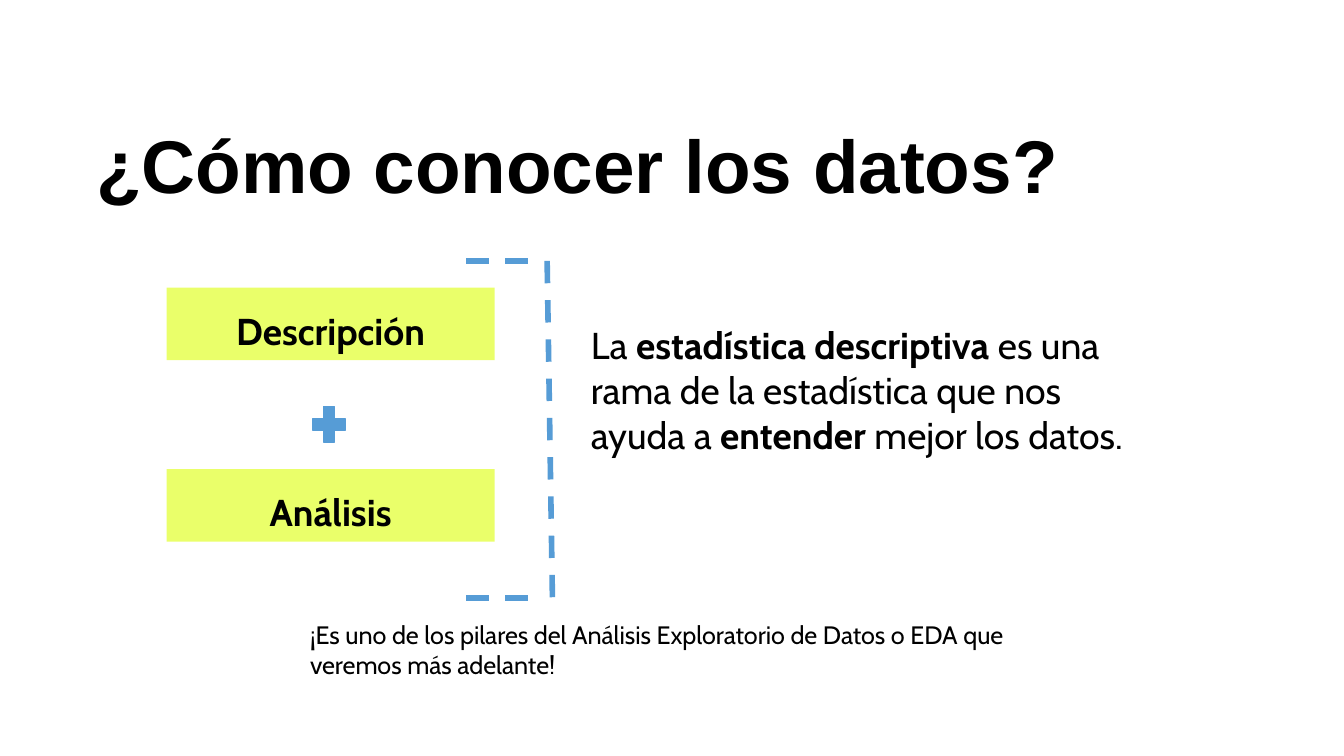
from pptx import Presentation
from pptx.dml.color import RGBColor
from pptx.enum.dml import MSO_LINE
from pptx.enum.shapes import MSO_CONNECTOR, MSO_SHAPE
from pptx.enum.text import MSO_ANCHOR, MSO_AUTO_SIZE, PP_ALIGN
from pptx.oxml.ns import qn
from pptx.util import Cm, Pt
from lxml import etree

DASH = MSO_LINE.DASH
LINE = MSO_CONNECTOR.STRAIGHT
RECT = MSO_SHAPE.RECTANGLE
PLUS = MSO_SHAPE.MATH_PLUS
TOP = MSO_ANCHOR.TOP
FIXED = MSO_AUTO_SIZE.NONE
LEFT = PP_ALIGN.LEFT
CENTER = PP_ALIGN.CENTER

BLACK = "000000"
LIME = "EAFF6A"
BLUE = "569CD6"
INSET = 0.25


def color(code):
    return RGBColor.from_string(code)


def place(shape, left, top, width, height):
    shape.left, shape.top = Cm(left), Cm(top)
    shape.width, shape.height = Cm(width), Cm(height)


def write(shape, runs, size, font="Cabin", align=LEFT, bold=None, inset=INSET):
    frame = shape.text_frame
    frame.word_wrap = True
    frame.auto_size = FIXED
    frame.vertical_anchor = TOP
    frame.margin_left = frame.margin_right = frame.margin_bottom = Cm(INSET)
    frame.margin_top = Cm(inset)
    para = frame.paragraphs[0]
    para.alignment = align
    para.font.name = font
    para.font.size = Pt(size)
    para.font.bold = bold
    para.font.color.rgb = color(BLACK)
    for text, strong in runs:
        run = para.add_run()
        run.text = text
        if strong:
            run.font.bold = True
    return para


def add_title(slide, text):
    title = slide.shapes.title
    place(title, 1.57, 1.85, 19.69, 1.88)
    write(title, [(text, False)], 40, "Arial", bold=True, inset=0.4)


def add_text(slide, box, runs, size):
    shape = slide.shapes.add_textbox(*map(Cm, box))
    return write(shape, runs, size)


def add_form(slide, kind, box, fill):
    shape = slide.shapes.add_shape(kind, *map(Cm, box))
    shape.shadow.inherit = False
    shape.fill.solid()
    shape.fill.fore_color.rgb = color(fill)
    shape.line.fill.background()
    return shape


def add_label(slide, top, text):
    shape = add_form(slide, RECT, (3.15, top, 6.2, 1.37), LIME)
    para = write(shape, [(text, False)], 20, align=CENTER, bold=True)
    para.line_spacing = 1.15


def add_plus(slide):
    shape = add_form(slide, PLUS, (5.79, 7.57, 0.86, 0.91), BLUE)
    shape.adjustments[0] = 0.235
    shape.line.color.rgb = color(BLUE)
    shape.line.width = Pt(0.75)


def add_dash(slide, *ends):
    line = slide.shapes.add_connector(LINE, *map(Cm, ends))
    line.line.color.rgb = color(BLUE)
    line.line.width = Pt(3)
    line.line.dash_style = DASH
    etree.SubElement(line._element.spPr, qn("a:effectLst"))


def add_bracket(slide, top, bottom):
    add_dash(slide, 10.34, top, 10.44, bottom)
    for level in (top, bottom):
        add_dash(slide, 8.81, level, 10.11, level)


def main():
    deck = Presentation()
    deck.slide_width, deck.slide_height = Cm(25.4), Cm(14.29)
    slide = deck.slides.add_slide(deck.slide_layouts[5])
    add_title(slide, "¿Cómo conocer los datos?")
    add_label(slide, 5.44, "Descripción")
    add_label(slide, 8.87, "Análisis")
    add_plus(slide)
    add_bracket(slide, 4.93, 11.3)
    para = add_text(slide, (10.92, 5.84, 11.33, 3.94), [
        ("La ", False),
        ("estadística descriptiva", True),
        (" es una rama de la estadística que nos ayuda a ", False),
        ("entender", True),
        (" mejor los datos.", False),
    ], 20)
    para.space_after = Pt(10)
    add_text(slide, (5.61, 11.46, 13.82, 2.24), [
        ("¡Es uno de los pilares del Análisis Exploratorio de Datos o EDA "
         "que veremos más adelante!", False),
    ], 13.5)
    deck.save("out.pptx")


if __name__ == "__main__":
    main()
